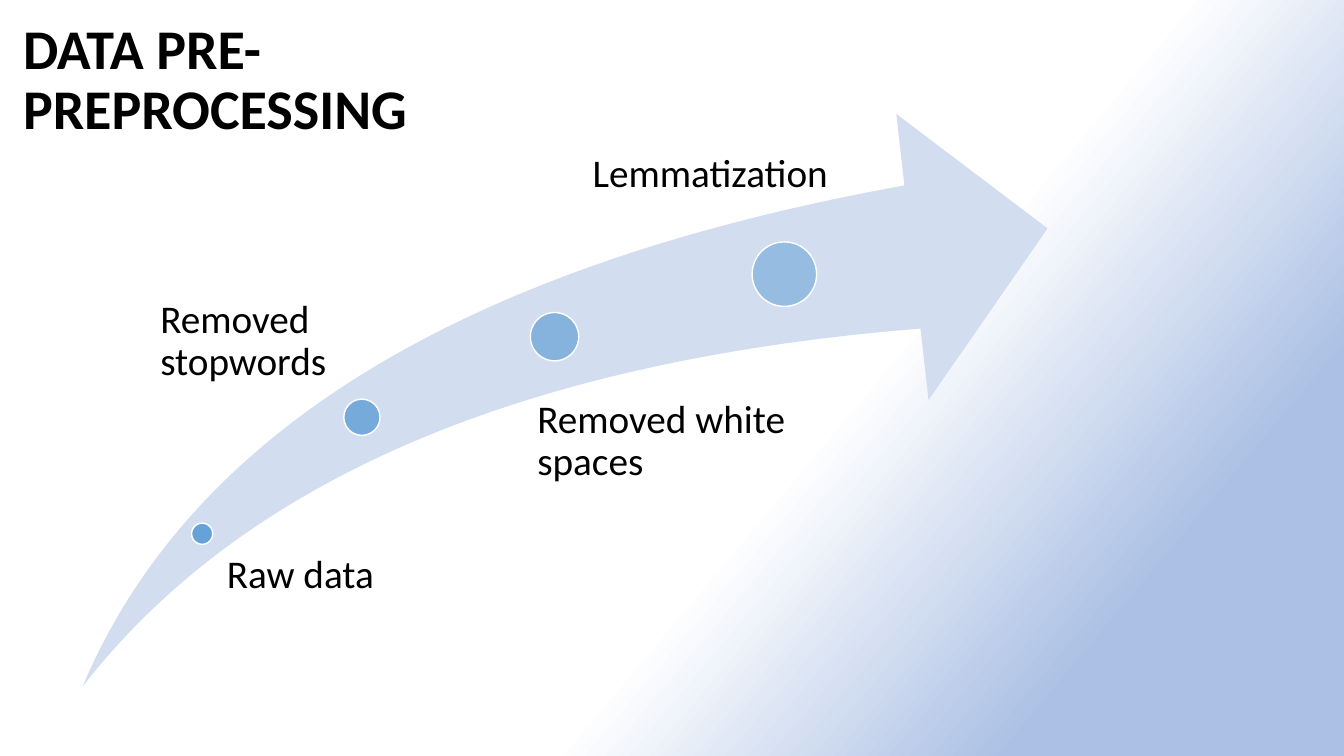
import pptx
import pptx.dml.color
import pptx.enum.shapes
import pptx.enum.text
import pptx.oxml
import pptx.oxml.ns
import pptx.util
from pptx.util import Inches

RGBColor = pptx.dml.color.RGBColor
MSO_SHAPE = pptx.enum.shapes.MSO_SHAPE
MSO_ANCHOR = pptx.enum.text.MSO_ANCHOR

BLACK = RGBColor(0x00, 0x00, 0x00)
WHITE = RGBColor(0xFF, 0xFF, 0xFF)
PERIWINKLE = RGBColor(0xAB, 0xC0, 0xE4)
PALE_BLUE = RGBColor(0xD2, 0xDE, 0xEF)
BLUE = RGBColor(0x5B, 0x9B, 0xD5)


class ProcessSlide:
    """Draws the elements of a process slide in one shared style."""

    font = "Calibri"

    def __init__(self, prs):
        self.s = prs.slides.add_slide(prs.slide_layouts[6])

    def background(self):
        fill = self.s.background.fill
        fill.gradient()
        fill.gradient_angle = 320
        stops = ((0.6, WHITE), (0.83, PERIWINKLE))
        for stop, (position, color) in zip(fill.gradient_stops, stops):
            stop.position = position
            stop.color.rgb = color

    def shape(self, kind, left, top, width, height, color):
        sp = self.s.shapes.add_shape(
            kind, Inches(left), Inches(top), Inches(width), Inches(height))
        sp.shadow.inherit = False
        sp.fill.solid()
        sp.fill.fore_color.rgb = color
        sp.line.fill.background()
        return sp

    def arrow(self, left, top, width, height):
        sp = self.shape(MSO_SHAPE.SWOOSH_ARROW, left, top, width, height, PALE_BLUE)
        sp.adjustments[0] = 0.25
        sp.adjustments[1] = 0.25

    def dot(self, left, top, size, opacity):
        sp = self.shape(MSO_SHAPE.OVAL, left, top, size, size, BLUE)
        sp.line.color.rgb = WHITE
        sp.line.width = pptx.util.Pt(1)
        color = sp.fill._xPr.solidFill[0]
        alpha = pptx.oxml.parse_xml(
            f'<a:alpha {pptx.oxml.ns.nsdecls("a")} val="{opacity * 1000}"/>')
        color.append(alpha)

    def text(self, words, left, top, width, height, size=28, bold=False, inset=None):
        box = self.s.shapes.add_textbox(
            Inches(left), Inches(top), Inches(width), Inches(height))
        tf = box.text_frame
        tf.word_wrap = True
        if inset is None:
            tf.vertical_anchor = MSO_ANCHOR.MIDDLE
        else:
            tf.margin_left = Inches(inset)
            tf.margin_top = tf.margin_right = tf.margin_bottom = 0
        p = tf.paragraphs[0]
        p.line_spacing = 0.9
        r = p.add_run()
        r.text = words
        r.font.name = self.font
        r.font.size = pptx.util.Pt(size)
        r.font.bold = bold
        r.font.color.rgb = BLACK


def main():
    prs = pptx.Presentation()
    prs.slide_width = Inches(13.33)
    prs.slide_height = Inches(7.5)
    slide = ProcessSlide(prs)
    slide.background()
    slide.text("DATA PRE-PREPROCESSING", 0.13, 0.34, 5.28, 0.93, size=40, bold=True)
    slide.arrow(0.82, 1.13, 9.57, 5.68)
    steps = (
        ((1.9, 5.19, 0.21, 90), ("Raw data", 2.14, 5.5, 1.98, 0.5), 0.11),
        ((3.41, 3.96, 0.36, 77), ("Removed stopwords", 1.4, 2.97, 2.95, 0.99), 0.19),
        ((5.26, 3.1, 0.48, 63), ("Removed white spaces", 5.07, 3.96, 3.3, 1.33), 0.26),
        ((7.46, 2.4, 0.64, 50), ("Lemmatization", 5.78, 1.27, 5.28, 0.93), None),
    )
    for dot, label, inset in steps:
        slide.dot(*dot)
        slide.text(*label, inset=inset)
    prs.save("out.pptx")


if __name__ == "__main__":
    main()
